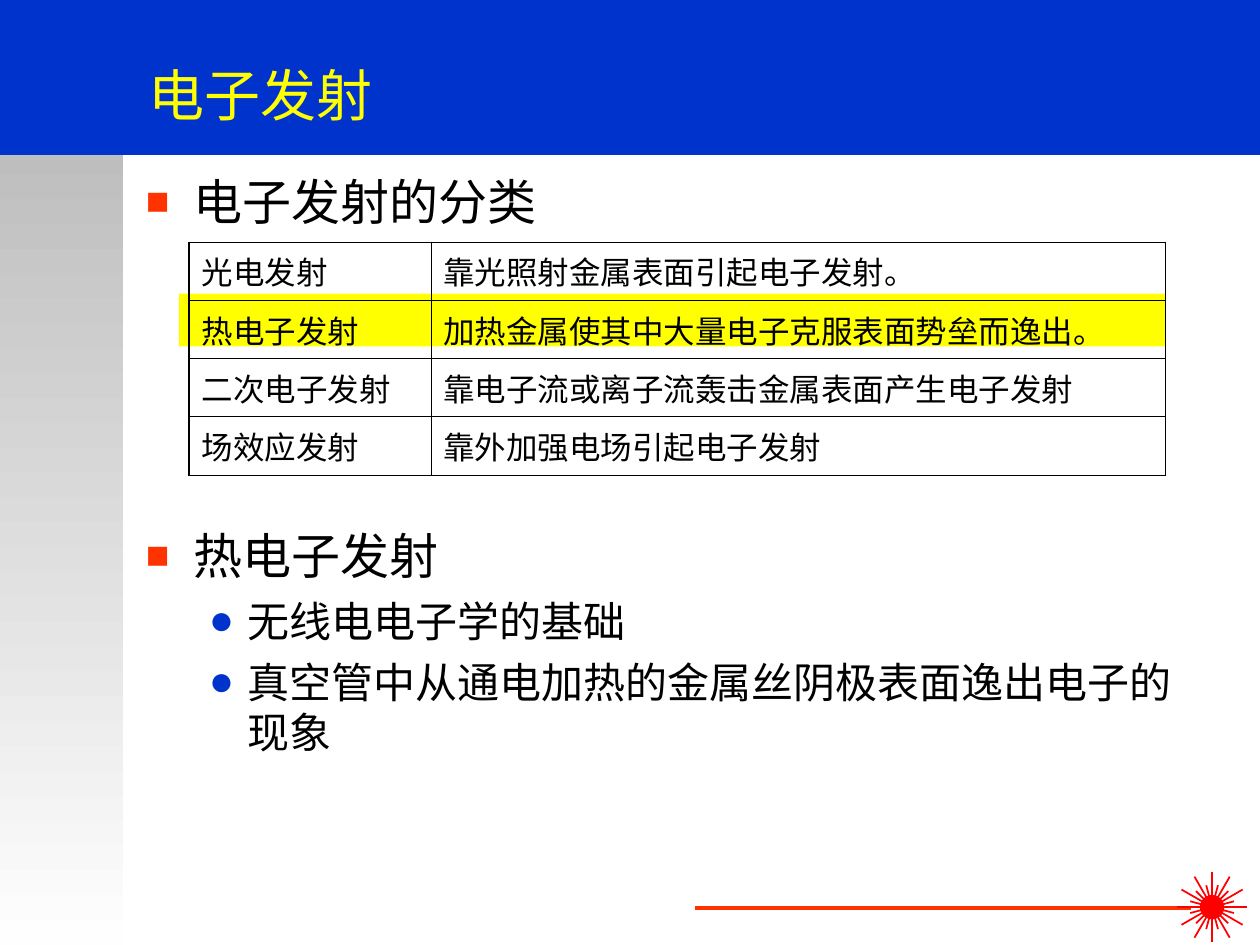
from dataclasses import dataclass
from math import cos, radians, sin

from lxml import etree
from pptx import Presentation
from pptx import util as u
from pptx.dml.color import RGBColor
from pptx.enum import shapes, text
from pptx.oxml import ns


@dataclass
class Theme:
    blue: str = "0033CC"
    red: str = "FF3300"
    ray: str = "FF0000"
    gold: str = "FFFF00"
    ink: str = "000000"
    dark: str = "B2B2B2"
    pale: str = "FEFEFE"
    sans: str = "Arial"
    serif: str = "Times New Roman"
    title: int = 32
    head: int = 28
    item: int = 24
    cell: int = 18


def rgb(code):
    return RGBColor.from_string(code)


def add(node, tag, **keys):
    return etree.SubElement(node, ns.qn(tag), {k: str(v) for k, v in keys.items()})


def write(para, words, size, font, color, before=0):
    run = para.add_run()
    run.text = words
    run.font.size = u.Pt(size)
    run.font.name = font
    run.font.color.rgb = rgb(color)
    para.alignment = text.PP_ALIGN.LEFT
    para.space_before = u.Pt(before)


def bullet(para, mark, color, scale, left, hang):
    prop = para._p.get_or_add_pPr()
    prop.set("marL", str(u.Inches(left)))
    prop.set("indent", str(-u.Inches(hang)))
    add(add(prop, "a:buClr"), "a:srgbClr", val=color)
    add(prop, "a:buSzPct", val=scale * 1000)
    add(prop, "a:buFont", typeface="Arial")
    add(prop, "a:buChar", char=mark)


class Deck:
    """Draw styled elements on the current slide."""

    def __init__(self, theme):
        self.theme = theme
        self.show = Presentation()
        self.show.slide_width = u.Inches(10)
        self.show.slide_height = u.Inches(7.5)
        self.slide = self.show.slides.add_slide(self.show.slide_layouts[6])

    def shape(self, kind, box, fill, fade=None):
        item = self.slide.shapes.add_shape(kind, *map(u.Inches, box))
        item.shadow.inherit = False
        item.line.fill.background()
        if fade:
            item.fill.gradient()
            item.fill.gradient_angle = 270
            for stop, code in zip(item.fill.gradient_stops, (fill, fade)):
                stop.color.rgb = rgb(code)
        else:
            item.fill.solid()
            item.fill.fore_color.rgb = rgb(fill)
        return item

    def line(self, start, end, color, width):
        ends = map(u.Inches, (*start, *end))
        item = self.slide.shapes.add_connector(shapes.MSO_CONNECTOR.STRAIGHT, *ends)
        item.line.color.rgb = rgb(color)
        item.line.width = u.Pt(width)
        add(item._element.spPr, "a:effectLst")

    def frame(self, box, anchor):
        frame = self.slide.shapes.add_textbox(*map(u.Inches, box)).text_frame
        frame.word_wrap = True
        frame.vertical_anchor = anchor
        return frame

    def burst(self, x, y, core, rays):
        for turns, near, far in rays:
            for turn in turns:
                dx, dy = cos(radians(turn)), sin(radians(turn))
                ends = [(x + r * dx, y + r * dy) for r in (near, far)]
                self.line(*ends, self.theme.ray, 1)
        box = (x - core, y - core, 2 * core, 2 * core)
        disc = self.shape(shapes.MSO_SHAPE.OVAL, box, self.theme.ray)
        disc.line.color.rgb = rgb(self.theme.ray)
        disc.line.width = u.Pt(1)

    def table(self, box, cols, rows):
        size = (len(rows), len(cols))
        grid = self.slide.shapes.add_table(*size, *map(u.Inches, box)).table
        grid.first_row = grid.horz_banding = False
        for col, width in zip(grid.columns, cols):
            col.width = u.Inches(width)
        for r, row in enumerate(rows):
            for c, words in enumerate(row):
                cell = grid.cell(r, c)
                write(cell.text_frame.paragraphs[0], words, self.theme.cell,
                      self.theme.sans, self.theme.ink, before=4.5)
                self.border(cell, 1.08 if c == 0 else 0.45)

    def border(self, cell, left):
        prop = cell._tc.get_or_add_tcPr()
        for side, width in zip("LRTB", (left, 0.45, 0.45, 0.45)):
            edge = add(prop, "a:ln" + side, w=u.Pt(width))
            add(add(edge, "a:solidFill"), "a:srgbClr", val=self.theme.ink)
        cell.fill.background()


def main():
    look = Theme()
    deck = Deck(look)
    rect = shapes.MSO_SHAPE.RECTANGLE
    deck.shape(rect, (0, 0, 0.98, 7.5), look.dark, look.pale)
    deck.shape(rect, (0, 0, 10, 1.23), look.blue)
    deck.line((5.52, 7.21), (9.45, 7.21), look.red, 2.25)
    deck.burst(9.62, 7.2, 0.09, [
        (range(0, 360, 90), 0.09, 0.28),
        ((30, 60, 120, 150), -0.28, 0.28),
        ((75, 165, 255, 345), 0.06, 0.18),
        ((15, 45, 105, 135), -0.18, 0.18),
    ])
    deck.shape(rect, (1.42, 2.33, 7.83, 0.42), look.gold)

    title = deck.frame((1.08, 0.35, 8.74, 0.79), text.MSO_ANCHOR.MIDDLE)
    write(title.paragraphs[0], "电子发射", look.title, look.sans, look.gold)

    body = deck.frame((1.06, 1.31, 8.66, 5.51), text.MSO_ANCHOR.TOP)
    head = ("■", look.red, 80, 0.38, 0.38)
    item = ("●", look.blue, 100, 0.81, 0.31)
    lines = [
        ("电子发射的分类", look.head, look.sans, 7, head),
        ("热电子发射", look.head, look.serif, 169, head),
        ("无线电电子学的基础", look.item, look.serif, 6, item),
        ("真空管中从通电加热的金属丝阴极表面逸出电子的现象",
         look.item, look.serif, 6, item),
    ]
    for n, (words, size, font, before, mark) in enumerate(lines):
        para = body.add_paragraph() if n else body.paragraphs[0]
        write(para, words, size, font, look.ink, before=before)
        bullet(para, *mark)

    deck.table((1.5, 1.92, 7.75, 1.85), (1.92, 5.83), [
        ("光电发射", "靠光照射金属表面引起电子发射。"),
        ("热电子发射", "加热金属使其中大量电子克服表面势垒而逸出。"),
        ("二次电子发射", "靠电子流或离子流轰击金属表面产生电子发射"),
        ("场效应发射", "靠外加强电场引起电子发射"),
    ])
    deck.show.save("out.pptx")


main()
